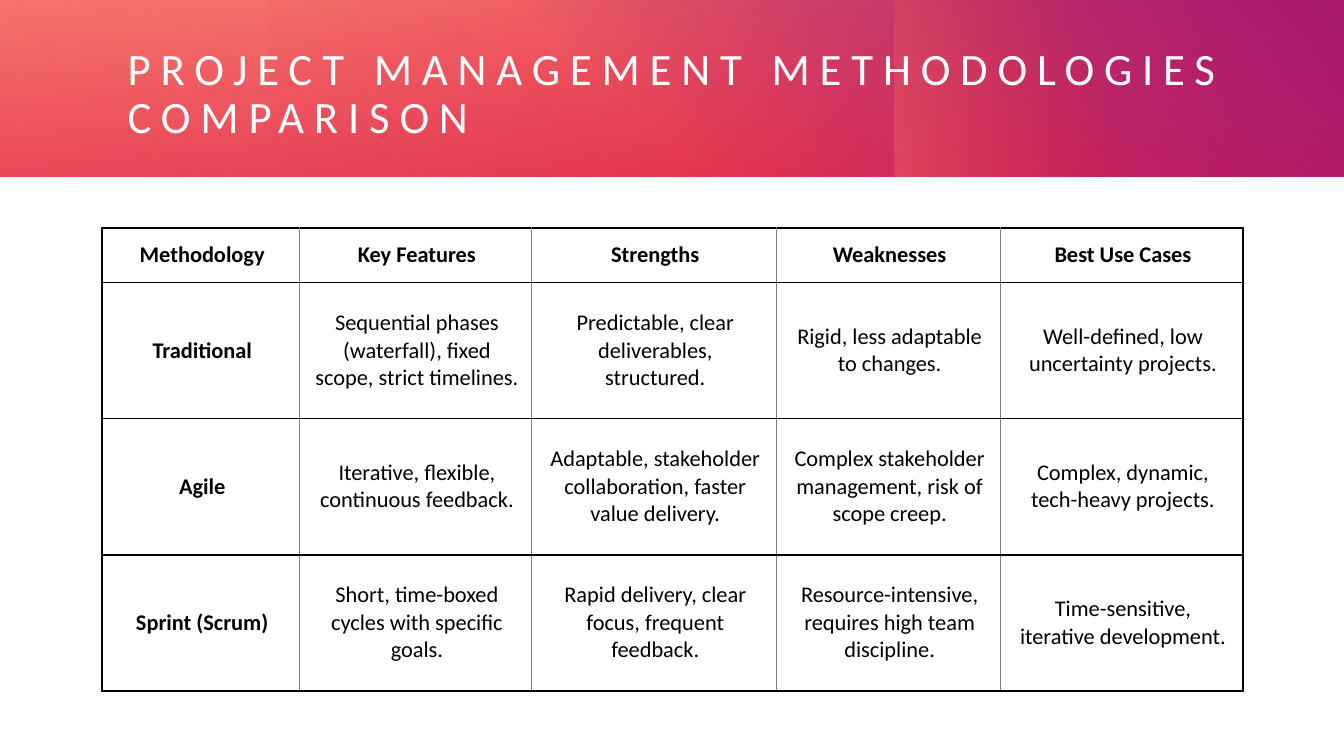
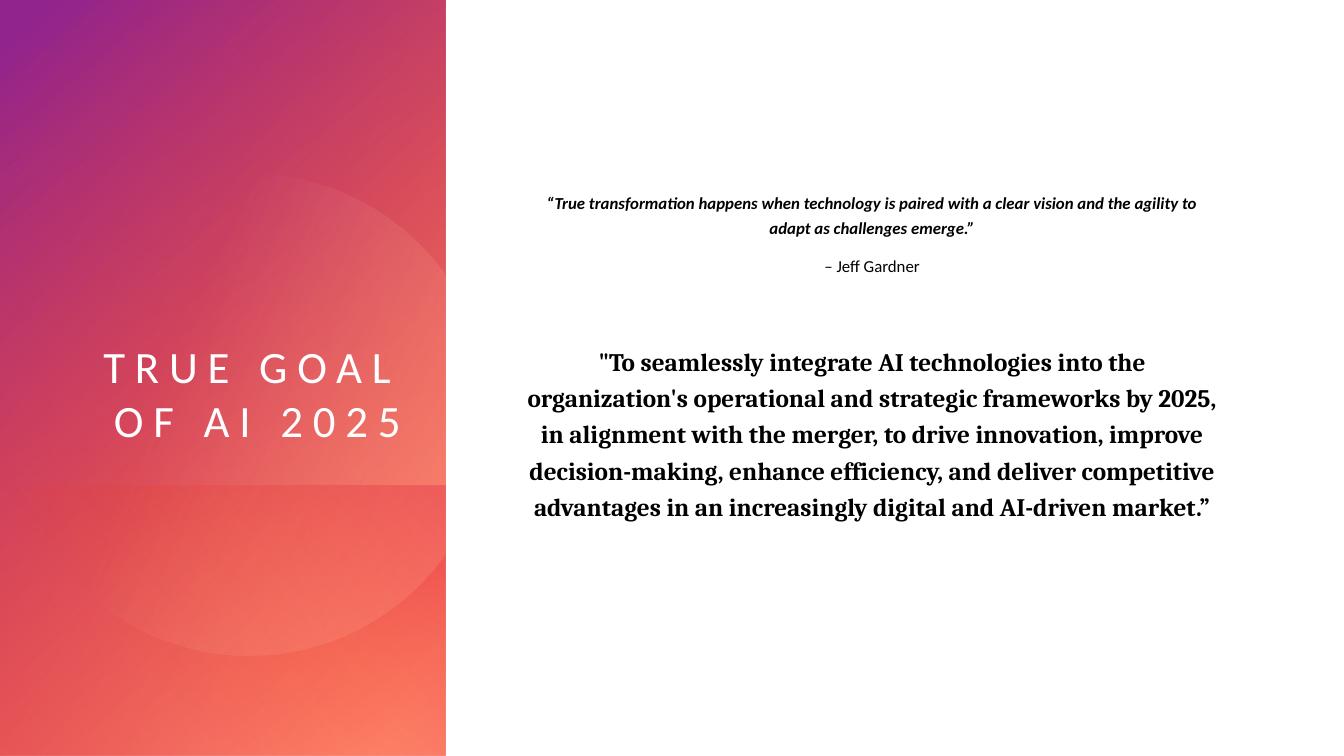
import math

from lxml import etree
from pptx import Presentation
from pptx import util as u
from pptx.dml.color import RGBColor
from pptx.enum import shapes, text
from pptx.oxml.ns import qn

# Shared colours and fonts
WHITE = RGBColor(0xFF, 0xFF, 0xFF)
BLACK = RGBColor(0x00, 0x00, 0x00)
GREY = RGBColor(0x80, 0x80, 0x80)
CRIMSON = RGBColor(0xDA, 0x00, 0x2F)
ORANGE = RGBColor(0xFE, 0x4A, 0x00)
SALMON = RGBColor(0xFF, 0x90, 0x7A)
BLUSH = RGBColor(0xFF, 0xDB, 0xCC)
PURPLE = RGBColor(0x92, 0x24, 0x8E)
SANS, SERIF = "Calibri", "Cambria"

# Slide grid: 120 columns by 60 rows
deck = Presentation()
deck.slide_width, deck.slide_height = u.Inches(13.33), u.Inches(7.5)
COL, ROW = deck.slide_width / 120, deck.slide_height / 60
BAND_ROWS = 14
PANEL_COLS = 39.8

TITLE_FONT = {"size": u.Pt(32), "name": SANS, "bold": False}
NO_MARGINS = {"margin_left": 0, "margin_top": 0, "margin_right": 0, "margin_bottom": 0,
              "word_wrap": True, "auto_size": text.MSO_AUTO_SIZE.NONE}


def paint(shape, stops, angle):
    """Fill with a gradient of (position, colour, opacity) stops, without line or shadow."""
    shape.shadow.inherit = False
    shape.line.fill.background()
    shape.fill.gradient()
    gradient = shape.element.spPr.find(qn("a:gradFill"))
    gradient.set("rotWithShape", "1")
    stop_list = gradient.find(qn("a:gsLst"))
    for old_stop in list(stop_list):
        stop_list.remove(old_stop)
    for position, colour, opacity in stops:
        stop = etree.SubElement(stop_list, qn("a:gs"), pos=str(position * 1000))
        tint = etree.SubElement(stop, qn("a:srgbClr"), val=str(colour))
        etree.SubElement(tint, qn("a:alpha"), val=str(opacity * 1000))
    gradient.find(qn("a:lin")).set("ang", str(angle * 60000))


def write(paragraph, words, font, colour, **layout):
    """Add one run in the given font and set the paragraph's layout."""
    run = paragraph.add_run()
    run.text = words
    run.font.color.rgb = colour
    for key, value in font.items():
        setattr(run.font, key, value)
    for key, value in layout.items():
        setattr(paragraph, key, value)
    return run


# What each slide holds: layout, gradient layers, title
# A layer is (column, row, columns, rows), turn, flipped, stops, angle
pages = [
    {"layout": 5,
     "layers": [
         ((0, 0, 120, BAND_ROWS), 0, False, [(0, CRIMSON, 83), (100, SALMON, 100)], 260),
         ((43.3, 0, 76.7, BAND_ROWS), 0, False, [(22, PURPLE, 0), (99, PURPLE, 100)], 310),
         ((79.9, 0, 33.7, BAND_ROWS), 270, False, [(45, ORANGE, 0), (99, SALMON, 33)], 250),
         ((24.1, 0, 95.9, BAND_ROWS), 180, False, [(0, CRIMSON, 30), (99, CRIMSON, 0)], 330),
         ((0, 0, 77.9, BAND_ROWS), 0, False, [(0, CRIMSON, 21), (99, CRIMSON, 0)], 340)],
     "title": "PROJECT MANAGEMENT METHODOLOGIES COMPARISON",
     "title_box": (11.4, 3.3, 102.2, 8.5),
     "anchor": text.MSO_ANCHOR.MIDDLE,
     "align": text.PP_ALIGN.LEFT,
     "spacing": 0.9},
    {"layout": 1,
     "layers": [
         ((0, 0, PANEL_COLS, 60), 90, True, [(8, SALMON, 100), (100, CRIMSON, 72)], 60),
         ((0, 0, PANEL_COLS, 60), 90, True, [(0, ORANGE, 0), (96, PURPLE, 100)], 40),
         ((0, 38.5, PANEL_COLS, 21.5), 90, True, [(2, CRIMSON, 35), (67, ORANGE, 0)], 130)],
     "title": "TRUE GOAL OF AI 2025",
     "title_box": (3.8, 9, 32, 26.4),
     "anchor": text.MSO_ANCHOR.BOTTOM,
     "align": text.PP_ALIGN.RIGHT,
     "spacing": 1.0},
]

slides = []
for page in pages:
    slide = deck.slides.add_slide(deck.slide_layouts[page["layout"]])
    slides.append(slide)

    # Gradient layers; a quarter turn swaps width and height about the centre
    for (col, row, cols, rows), turn, flipped, stops, angle in page["layers"]:
        across, down = cols * COL, rows * ROW
        middle_x, middle_y = col * COL + across / 2, row * ROW + down / 2
        if turn % 180:
            across, down = down, across
        layer = slide.shapes.add_shape(
            shapes.MSO_SHAPE.RECTANGLE, int(middle_x - across / 2),
            int(middle_y - down / 2), int(across), int(down))
        layer.rotation = turn
        if flipped:
            layer.element.spPr.find(qn("a:xfrm")).set("flipH", "1")
        paint(layer, stops, angle)

    # Title, above the layers
    title = slide.shapes.title
    col, row, cols, rows = page["title_box"]
    title.left, title.top = int(col * COL), int(row * ROW)
    title.width, title.height = int(cols * COL), int(rows * ROW)
    for key, value in NO_MARGINS.items():
        setattr(title.text_frame, key, value)
    title.text_frame.vertical_anchor = page["anchor"]
    heading = write(title.text_frame.paragraphs[0], page["title"], TITLE_FONT, WHITE,
                    alignment=page["align"], line_spacing=page["spacing"])
    heading.font.element.set("spc", "700") if hasattr(heading.font, "element") else \
        heading._r.get_or_add_rPr().set("spc", "700")
    title.element.getparent().append(title.element)

comparison_slide, goal_slide = slides

# Comparison table
methods = [
    ("Methodology", "Key Features", "Strengths", "Weaknesses", "Best Use Cases"),
    ("Traditional", "Sequential phases (waterfall), fixed scope, strict timelines.",
     "Predictable, clear deliverables, structured.", "Rigid, less adaptable to changes.",
     "Well-defined, low uncertainty projects."),
    ("Agile", "Iterative, flexible, continuous feedback.",
     "Adaptable, stakeholder collaboration, faster value delivery.",
     "Complex stakeholder management, risk of scope creep.",
     "Complex, dynamic, tech-heavy projects."),
    ("Sprint (Scrum)", "Short, time-boxed cycles with specific goals.",
     "Rapid delivery, clear focus, frequent feedback.",
     "Resource-intensive, requires high team discipline.",
     "Time-sensitive, iterative development."),
]
method_cols = [17.64, 20.7, 21.87, 19.98, 21.69]
method_rows = [4.32] + [10.8] * 3
CELL_FORMAT = {"margin_left": u.Inches(0.15), "margin_right": u.Inches(0.12),
               "margin_top": u.Inches(0.11), "margin_bottom": u.Inches(0.11),
               "vertical_anchor": text.MSO_ANCHOR.MIDDLE}
THICK, THIN = (BLACK, 1.5), (GREY, 0.5)

comparison = comparison_slide.shapes.add_table(
    len(method_rows), len(method_cols), int(9.1 * COL), int(18.1 * ROW),
    int(sum(method_cols) * COL), int(sum(method_rows) * ROW)).table
comparison.first_row = comparison.horz_banding = False
for column, cols in zip(comparison.columns, method_cols):
    column.width = int(cols * COL)
for line, rows in zip(comparison.rows, method_rows):
    line.height = int(rows * ROW)

last = len(method_cols) - 1
for r, method in enumerate(methods):
    for c, words in enumerate(method):
        cell = comparison.cell(r, c)
        for key, value in CELL_FORMAT.items():
            setattr(cell, key, value)
        cell_font = {"size": u.Pt(16), "name": SANS, "bold": r == 0 or c == 0}
        write(cell.text_frame.paragraphs[0], words, cell_font, BLACK,
              alignment=text.PP_ALIGN.CENTER)
        # Thick outer frame and row rules, thin column rules
        borders = {"a:lnL": THICK if c == 0 else THIN, "a:lnR": THICK if c == last else THIN,
                   "a:lnT": THICK, "a:lnB": THICK}
        cell_format = cell._tc.get_or_add_tcPr()
        for side, (colour, points) in borders.items():
            border = etree.SubElement(cell_format, qn(side), w=str(u.Pt(points)))
            ink = etree.SubElement(border, qn("a:solidFill"))
            etree.SubElement(ink, qn("a:srgbClr"), val=str(colour))
        cell.fill.background()

# Pale disc, cut off at the panel's right edge
centre_x, centre_y, radius = 22.23 * COL, 32.88 * ROW, u.Inches(2.39)
cut = math.acos((PANEL_COLS * COL - centre_x) / radius)
STEPS = 120
arc = []
for step in range(STEPS + 1):
    theta = cut + (2 * math.pi - 2 * cut) * step / STEPS
    arc.append((int(centre_x + radius * math.cos(theta)),
                int(centre_y + radius * math.sin(theta))))
outline = goal_slide.shapes.build_freeform(*arc[0])
outline.add_line_segments(arc[1:], close=True)
disc = outline.convert_to_shape()
paint(disc, [(39, BLUSH, 0), (100, SALMON, 29)], 22)
goal_slide.shapes.title.element.addprevious(disc.element)

# Quotation and goal
statement = goal_slide.placeholders[1]
statement.left, statement.top = int(47 * COL), int(9 * ROW)
statement.width, statement.height = int(61.75 * COL), int(42.4 * ROW)
for key, value in NO_MARGINS.items():
    setattr(statement.text_frame, key, value)
statement.text_frame.margin_bottom = u.Inches(0.5)
statement.text_frame.vertical_anchor = text.MSO_ANCHOR.MIDDLE

passages = [
    ("“True transformation happens when technology is paired with a clear vision and the "
     "agility to adapt as challenges emerge.”",
     {"size": u.Pt(12), "name": SANS, "bold": True, "italic": True}, 10),
    ("– Jeff Gardner", {"size": u.Pt(12), "name": SANS}, 10),
    ("\"To seamlessly integrate AI technologies into the organization's operational and "
     "strategic frameworks by 2025, in alignment with the merger, to drive innovation, "
     "improve decision-making, enhance efficiency, and deliver competitive advantages in "
     "an increasingly digital and AI-driven market.”",
     {"size": u.Pt(18), "name": SERIF, "bold": True}, 46),
]
for number, (words, font, gap) in enumerate(passages):
    frame = statement.text_frame
    passage = frame.add_paragraph() if number else frame.paragraphs[0]
    write(passage, words, font, BLACK, alignment=text.PP_ALIGN.CENTER,
          line_spacing=1.2, space_before=u.Pt(gap))
    bullet_format = passage._p.get_or_add_pPr()
    bullet_format.set("marL", "0")
    bullet_format.set("indent", "0")
    etree.SubElement(bullet_format, qn("a:buNone"))

deck.save("out.pptx")
